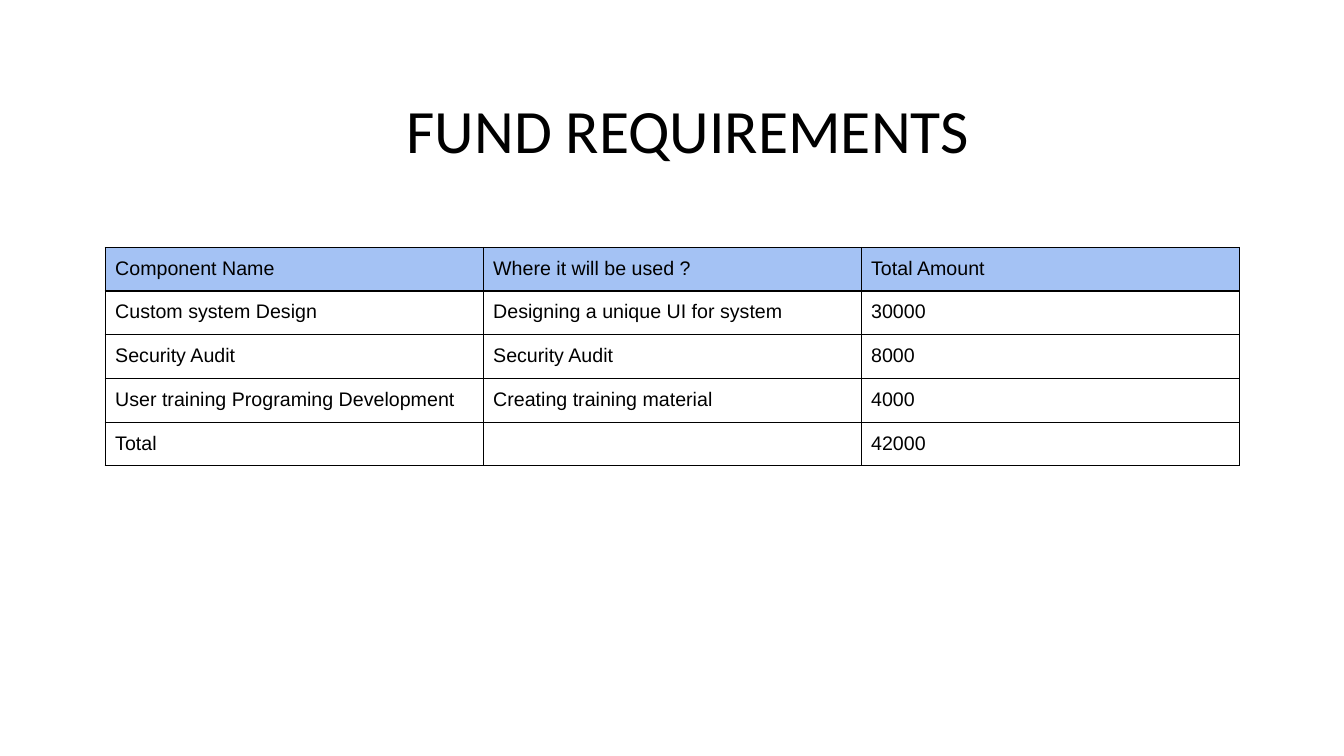
from lxml import etree
from pptx import Presentation
from pptx.dml.color import RGBColor
from pptx.enum.text import MSO_ANCHOR
from pptx.oxml.ns import qn
from pptx.util import Pt

MIDDLE = MSO_ANCHOR.MIDDLE

# Content
TITLE = "FUND REQUIREMENTS"
FUNDS = [
    ("Component Name", "Where it will be used ?", "Total Amount"),
    ("Custom system Design", "Designing a unique UI for system", "30000"),
    ("Security Audit", "Security Audit", "8000"),
    ("User training Programing Development", "Creating training material", "4000"),
    ("Total", "", "42000"),
]
COLORS = {"text": "000000", "header": "A4C2F4", "border": "000000"}

# Layout in points
SLIDE_W, SLIDE_H = 960, 540
TITLE_BOX = (50.4, 58, 676.8, 75)
TITLE_INDENT = 233
TABLE_LEFT, TABLE_TOP = 75.1, 176.6
COLUMN_W, ROW_H = 270, 30.08
CELL_INSET = 7.2
HEADER_BORDER, BODY_BORDER = 0.75, 1


def style_font(font, name, size):
    font.name = name
    font.size = Pt(size)
    font.color.rgb = RGBColor.from_string(COLORS["text"])


def add_borders(cell, width):
    properties = cell._tc.get_or_add_tcPr()
    for side in ("lnL", "lnR", "lnT", "lnB"):
        line = etree.SubElement(properties, qn(f"a:{side}"), w=str(Pt(width)))
        fill = etree.SubElement(line, qn("a:solidFill"))
        etree.SubElement(fill, qn("a:srgbClr"), val=COLORS["border"])


def fill_cell(cell, text, is_header):
    cell.margin_left = cell.margin_right = Pt(CELL_INSET)
    cell.margin_top = cell.margin_bottom = Pt(CELL_INSET)
    add_borders(cell, HEADER_BORDER if is_header else BODY_BORDER)
    if is_header:
        cell.fill.solid()
        cell.fill.fore_color.rgb = RGBColor.from_string(COLORS["header"])
    else:
        cell.fill.background()
    cell.text_frame.text = text
    paragraph = cell.text_frame.paragraphs[0]
    for run in paragraph.runs:
        style_font(run.font, "Arial", 14)
    if not text:
        # Keeps an empty cell from stretching its row
        etree.SubElement(paragraph._p, qn("a:endParaRPr"), sz="1400")


def add_title(slide):
    title = slide.shapes.add_textbox(*map(Pt, TITLE_BOX))
    frame = title.text_frame
    frame.word_wrap = True
    frame.vertical_anchor = MIDDLE
    frame.text = TITLE
    paragraph = frame.paragraphs[0]
    paragraph.line_spacing = 0.9
    paragraph._p.get_or_add_pPr().set("marL", str(Pt(TITLE_INDENT)))
    style_font(paragraph.runs[0].font, "Calibri", 44)


def add_funds(slide):
    rows, columns = len(FUNDS), len(FUNDS[0])
    funds = slide.shapes.add_table(
        rows, columns, Pt(TABLE_LEFT), Pt(TABLE_TOP),
        Pt(columns * COLUMN_W), Pt(rows * ROW_H)).table
    funds.horz_banding = False
    funds.first_row = False
    for row, entries in enumerate(FUNDS):
        funds.rows[row].height = Pt(ROW_H)
        for column, text in enumerate(entries):
            fill_cell(funds.cell(row, column), text, row == 0)


def main():
    deck = Presentation()
    deck.slide_width, deck.slide_height = Pt(SLIDE_W), Pt(SLIDE_H)
    slide = deck.slides.add_slide(deck.slide_layouts[6])
    add_title(slide)
    add_funds(slide)
    deck.save("out.pptx")


if __name__ == "__main__":
    main()
